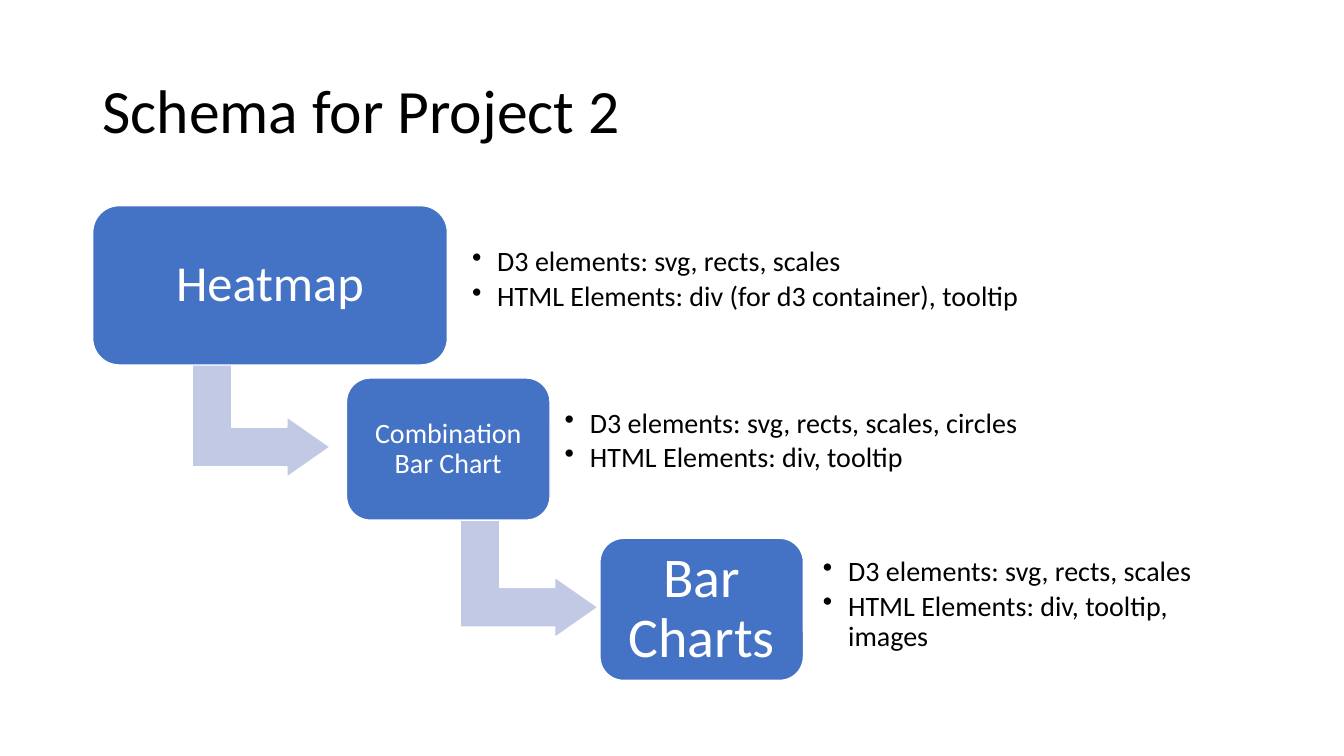
import pptx
import pptx.dml.color
import pptx.enum.shapes
import pptx.enum.text
import pptx.oxml
import pptx.oxml.ns
import pptx.util

Pt = pptx.util.Pt
RGBColor = pptx.dml.color.RGBColor
SHAPE = pptx.enum.shapes.MSO_SHAPE
ALIGN = pptx.enum.text.PP_ALIGN
MIDDLE = pptx.enum.text.MSO_ANCHOR.MIDDLE
NO_FIT = pptx.enum.text.MSO_AUTO_SIZE.NONE

BLACK = RGBColor(0x00, 0x00, 0x00)
WHITE = RGBColor(0xFF, 0xFF, 0xFF)
BLUE = RGBColor(0x44, 0x72, 0xC4)
PALE_BLUE = RGBColor(0xC1, 0xC9, 0xE4)

ARROW_SIZE = (86.4, 98.6)
STEPS = [
    {"box": (66.2, 146.9, 253.4, 113.8), "label": "Heatmap", "size": 36, "inset": 10.8,
     "arrow": (77.1, 101.5), "details": (265, 10.1, 480.2, 85.7),
     "items": ["D3 elements: svg, rects, scales",
               "HTML Elements: div (for d3 container), tooltip"]},
    {"box": (247.5, 270, 145.4, 101.5), "label": "Combination Bar Chart", "size": 20, "inset": 6,
     "arrow": (87.2, 92.9), "details": (149.9, 4.3, 414.7, 82.1),
     "items": ["D3 elements: svg, rects, scales, circles",
               "HTML Elements: div, tooltip"]},
    {"box": (428.5, 384.5, 145.4, 101.5), "label": "Bar Charts", "size": 40, "inset": 12,
     "arrow": None, "details": (153.3, 6.5, 311.8, 82.1),
     "items": ["D3 elements: svg, rects, scales",
               "HTML Elements: div, tooltip, images"]},
]


def apply(obj, values):
    for name, value in values.items():
        setattr(obj, name, value)


def write(sp, lines, size, color, align, inset=None, gap=0):
    tf = sp.text_frame
    apply(tf, {"word_wrap": True, "auto_size": NO_FIT, "vertical_anchor": MIDDLE})
    if inset is not None:
        sides = ("left", "top", "right", "bottom")
        apply(tf, {f"margin_{side}": Pt(inset) for side in sides})
    for i, line in enumerate(lines):
        p = tf.add_paragraph() if i else tf.paragraphs[0]
        apply(p, {"alignment": align, "line_spacing": 0.9,
                  "space_before": Pt(0), "space_after": Pt(gap)})
        r = p.add_run()
        r.text = line
        apply(r.font, {"name": "Calibri", "size": Pt(size)})
        r.font.color.rgb = color
    return tf


def add_block(slide, kind, box, fill, adjustments):
    sp = slide.shapes.add_shape(kind, *map(Pt, box))
    sp.shadow.inherit = False
    sp.fill.solid()
    sp.fill.fore_color.rgb = fill
    sp.line.color.rgb = WHITE
    sp.line.width = Pt(1)
    for i, value in enumerate(adjustments):
        sp.adjustments[i] = value
    return sp


def add_title(slide, box, text):
    sp = slide.shapes.title
    apply(sp, dict(zip(("left", "top", "width", "height"), map(Pt, box))))
    write(sp, [text], 44, BLACK, ALIGN.LEFT)


def add_details(slide, box, items):
    sp = slide.shapes.add_textbox(*map(Pt, box))
    tf = write(sp, items, 20, BLACK, ALIGN.LEFT, 6, 3)
    for p in tf.paragraphs:
        pPr = p._p.get_or_add_pPr()
        pPr.set("marL", str(Pt(18)))
        pPr.set("indent", str(Pt(-18)))
        bullet = pptx.oxml.parse_xml(
            f'<a:buChar {pptx.oxml.ns.nsdecls("a")} char="\u2022"/>')
        pPr.append(bullet)


def add_step(slide, box, step):
    x, y = box[:2]
    if step["arrow"]:
        dx, dy = step["arrow"]
        arrow = add_block(slide, SHAPE.BENT_UP_ARROW, (x + dx, y + dy, *ARROW_SIZE),
                          PALE_BLUE, (0.328, 0.25, 0.358))
        arrow.rotation = 90
    sp = add_block(slide, SHAPE.ROUNDED_RECTANGLE, box, BLUE, (0.167,))
    write(sp, [step["label"]], step["size"], WHITE, ALIGN.CENTER, step["inset"])
    dx, dy, width, height = step["details"]
    add_details(slide, (x + dx, y + dy, width, height), step["items"])


prs = pptx.Presentation()
apply(prs, {"slide_width": Pt(960), "slide_height": Pt(540)})
slide = prs.slides.add_slide(prs.slide_layouts.get_by_name("Title Only"))
add_title(slide, (66, 28.8, 828, 104.4), "Schema for Project 2")
for step in STEPS:
    add_step(slide, step["box"], step)
prs.save("out.pptx")
